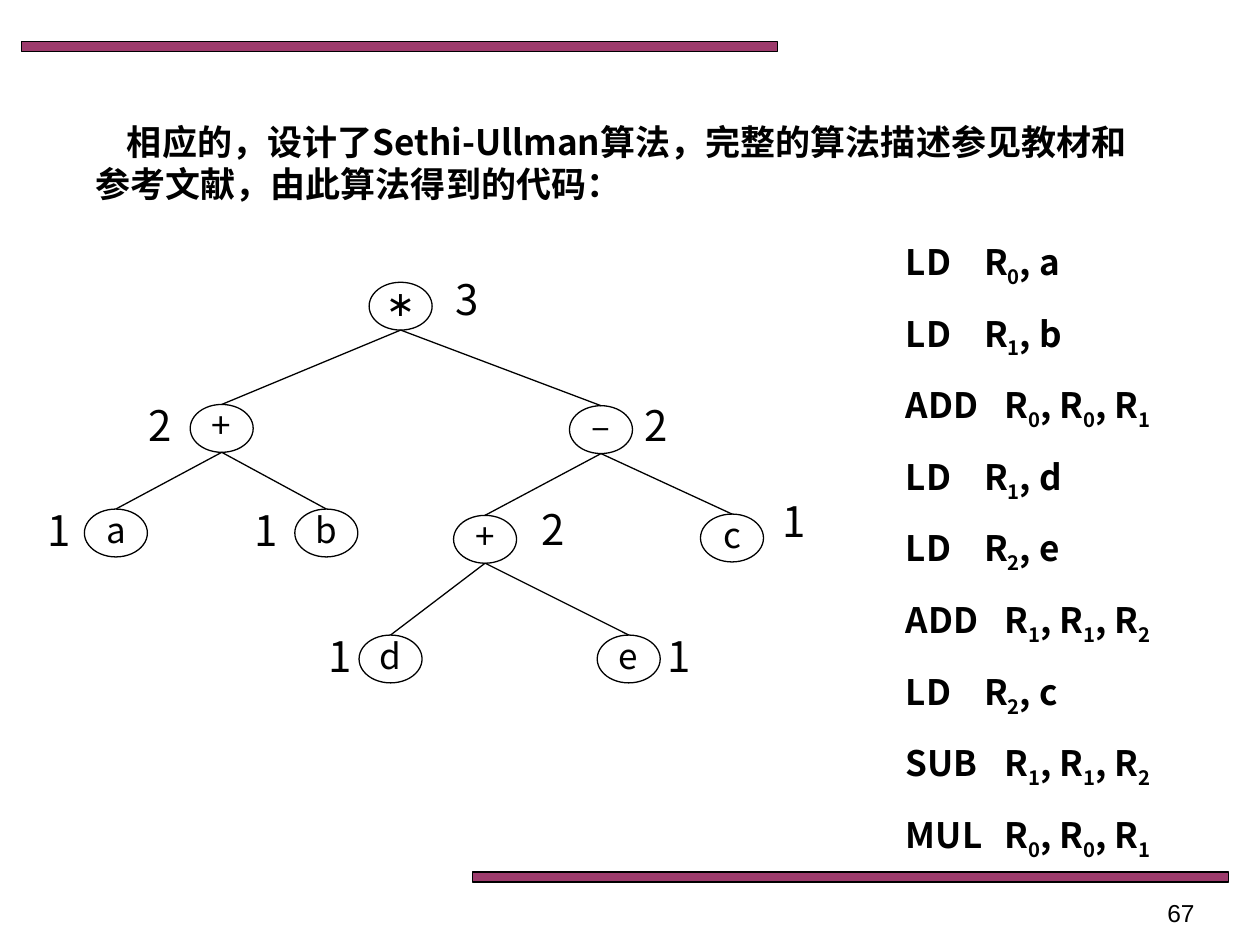
from lxml import etree
from pptx import Presentation
from pptx.dml.color import RGBColor
from pptx.enum.shapes import MSO_CONNECTOR, MSO_SHAPE
from pptx.enum.text import MSO_ANCHOR, PP_ALIGN
from pptx.oxml.ns import qn
from pptx.util import Inches, Pt

RECTANGLE, OVAL = MSO_SHAPE.RECTANGLE, MSO_SHAPE.OVAL
STRAIGHT = MSO_CONNECTOR.STRAIGHT
LEFT, CENTER = PP_ALIGN.LEFT, PP_ALIGN.CENTER
RIGHT, JUSTIFY = PP_ALIGN.RIGHT, PP_ALIGN.JUSTIFY
TOP, MIDDLE = MSO_ANCHOR.TOP, MSO_ANCHOR.MIDDLE

FONT = "Noto Sans CJK SC"
BLACK, PLUM = "000000", "993366"
NODE_WIDTH, NODE_HEIGHT = 0.5, 0.38
HEADING = "相应的，设计了Sethi-Ullman算法，完整的算法描述参见教材和参考文献，由此算法得到的代码："

NODES = {
    "product": ("∗", 2.93, 2.24, "3", 3.52, 2.25),
    "left sum": ("+", 1.51, 3.21, "2", 1.08, 3.25),
    "difference": ("–", 4.52, 3.22, "2", 5.02, 3.25),
    "a": ("a", 0.67, 4.04, "1", 0.28, 4.08),
    "b": ("b", 2.34, 4.04, "1", 1.92, 4.08),
    "right sum": ("+", 3.6, 4.09, "2", 4.2, 4.07),
    "c": ("c", 5.56, 4.08, "1", 6.11, 4.01),
    "d": ("d", 2.85, 5.04, "1", 2.51, 5.08),
    "e": ("e", 4.74, 5.04, "1", 5.2, 5.08),
}
CHILDREN = {
    "product": ("left sum", "difference"),
    "left sum": ("a", "b"),
    "difference": ("right sum", "c"),
    "right sum": ("d", "e"),
}
INSTRUCTIONS = [
    ("LD", "R0, a"), ("LD", "R1, b"), ("ADD", "R0, R0, R1"),
    ("LD", "R1, d"), ("LD", "R2, e"), ("ADD", "R1, R1, R2"),
    ("LD", "R2, c"), ("SUB", "R1, R1, R2"), ("MUL", "R0, R0, R1"),
]


def color(hex_string):
    """Return the colour for a hex string."""
    return RGBColor.from_string(hex_string)


def add_run(paragraph, text, size=20, bold=False, font=FONT, baseline=0):
    """Append one formatted run to a paragraph."""
    run = paragraph.add_run()
    run.text = text
    run.font.size, run.font.bold, run.font.name = Pt(size), bold, font
    run.font.color.rgb = color(BLACK)
    properties = run._r.get_or_add_rPr()
    etree.SubElement(properties, qn("a:ea")).set("typeface", font)
    if baseline:
        properties.set("baseline", str(baseline * 1000))


def set_frame(frame, insets=(0.1, 0.05, 0.1, 0.05), anchor=TOP, wrap=True):
    """Set the insets, anchor and wrapping of a text frame."""
    frame.margin_left, frame.margin_top, frame.margin_right, frame.margin_bottom = map(Inches, insets)
    frame.vertical_anchor, frame.word_wrap = anchor, wrap


def add_text(slide, box, text, align=LEFT, spacing=1.0, indent=0, insets=(0.1, 0.05, 0.1, 0.05), **style):
    """Add a text box holding one paragraph."""
    frame = slide.shapes.add_textbox(*map(Inches, box)).text_frame
    set_frame(frame, insets)
    paragraph = frame.paragraphs[0]
    paragraph.alignment, paragraph.line_spacing = align, spacing
    if indent:
        paragraph._p.get_or_add_pPr().set("indent", str(Inches(indent)))
    add_run(paragraph, text, **style)


def add_bar(slide, box):
    """Add a slightly transparent decorative bar."""
    bar = slide.shapes.add_shape(RECTANGLE, *map(Inches, box))
    bar.shadow.inherit = False
    bar.fill.solid()
    bar.fill.fore_color.rgb = color(PLUM)
    tint = bar._element.spPr.find(qn("a:solidFill"))[0]
    etree.SubElement(tint, qn("a:alpha")).set("val", "96000")
    bar.line.color.rgb, bar.line.width = color(BLACK), Pt(0.75)


def add_node(slide, symbol, left, top):
    """Add one oval tree node with its symbol."""
    node = slide.shapes.add_shape(OVAL, *map(Inches, (left, top, NODE_WIDTH, NODE_HEIGHT)))
    node.shadow.inherit = False
    node.fill.background()
    node.line.color.rgb, node.line.width = color(BLACK), Pt(0.75)
    set_frame(node.text_frame, (0.1, 0, 0.1, 0), MIDDLE, False)
    paragraph = node.text_frame.paragraphs[0]
    paragraph.alignment, paragraph.line_spacing = CENTER, 0.8
    add_run(paragraph, symbol)


def add_edge(slide, parent, child):
    """Join the bottom of a parent node to the top of its child."""
    _, parent_left, parent_top, *_ = NODES[parent]
    _, child_left, child_top, *_ = NODES[child]
    ends = (parent_left + NODE_WIDTH / 2, parent_top + NODE_HEIGHT,
            child_left + NODE_WIDTH / 2, child_top)
    edge = slide.shapes.add_connector(STRAIGHT, *map(Inches, ends))
    edge.line.color.rgb, edge.line.width = color(BLACK), Pt(0.75)
    etree.SubElement(edge._element.spPr, qn("a:effectLst"))


def add_tree(slide):
    """Draw the expression tree with its register counts."""
    for symbol, left, top, count, count_left, count_top in NODES.values():
        add_node(slide, symbol, left, top)
        add_text(slide, (count_left, count_top, 0.39, 0.32), count,
                 spacing=0.8, insets=(0.1, 0, 0.1, 0), size=24)
    for parent, children in CHILDREN.items():
        for child in children:
            add_edge(slide, parent, child)


def add_code(slide, box):
    """List the generated instructions with subscripted register numbers."""
    frame = slide.shapes.add_textbox(*map(Inches, box)).text_frame
    set_frame(frame, (0.68, 0.05, 0.1, 0.05))
    for index, (operation, operands) in enumerate(INSTRUCTIONS):
        paragraph = frame.add_paragraph() if index else frame.paragraphs[0]
        paragraph.alignment, paragraph.line_spacing = JUSTIFY, 1.5
        stops = etree.SubElement(paragraph._p.get_or_add_pPr(), qn("a:tabLst"))
        operand_start = 0.62 if operation == "LD" else 0.78
        etree.SubElement(stops, qn("a:tab"), pos=str(Inches(operand_start)), algn="l")
        head, *registers = operands.split("R")
        add_run(paragraph, f"{operation}\t{head}R", bold=True)
        for position, register in enumerate(registers, 1):
            add_run(paragraph, register[0], bold=True, baseline=-25)
            tail = register[1:] + ("R" if position < len(registers) else "")
            if tail:
                add_run(paragraph, tail, bold=True)


def main():
    """Build and save the slide."""
    deck = Presentation()
    deck.slide_width, deck.slide_height = Inches(10), Inches(7.5)
    slide = deck.slides.add_slide(deck.slide_layouts[6])
    add_bar(slide, (0.17, 0.33, 6, 0.08))
    add_bar(slide, (3.75, 6.92, 6, 0.08))
    add_text(slide, (7.25, 7.08, 2.33, 0.27), "67", align=RIGHT, size=14, font="Arial")
    add_text(slide, (0.66, 0.91, 8.43, 0.77), HEADING, indent=0.25, bold=True)
    add_code(slide, (6.51, 1.67, 2.99, 4.57))
    add_tree(slide)
    deck.save("out.pptx")


if __name__ == "__main__":
    main()
